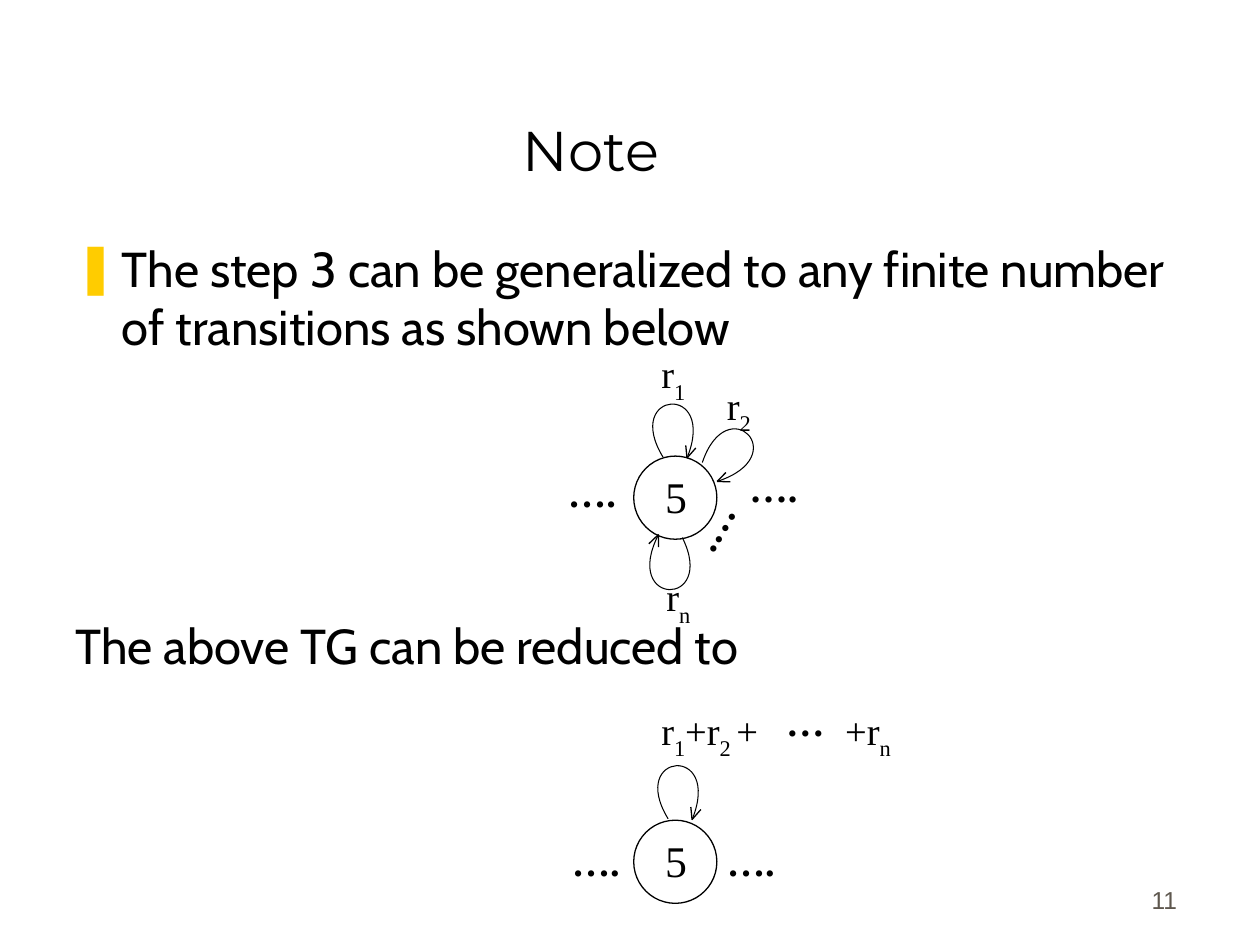
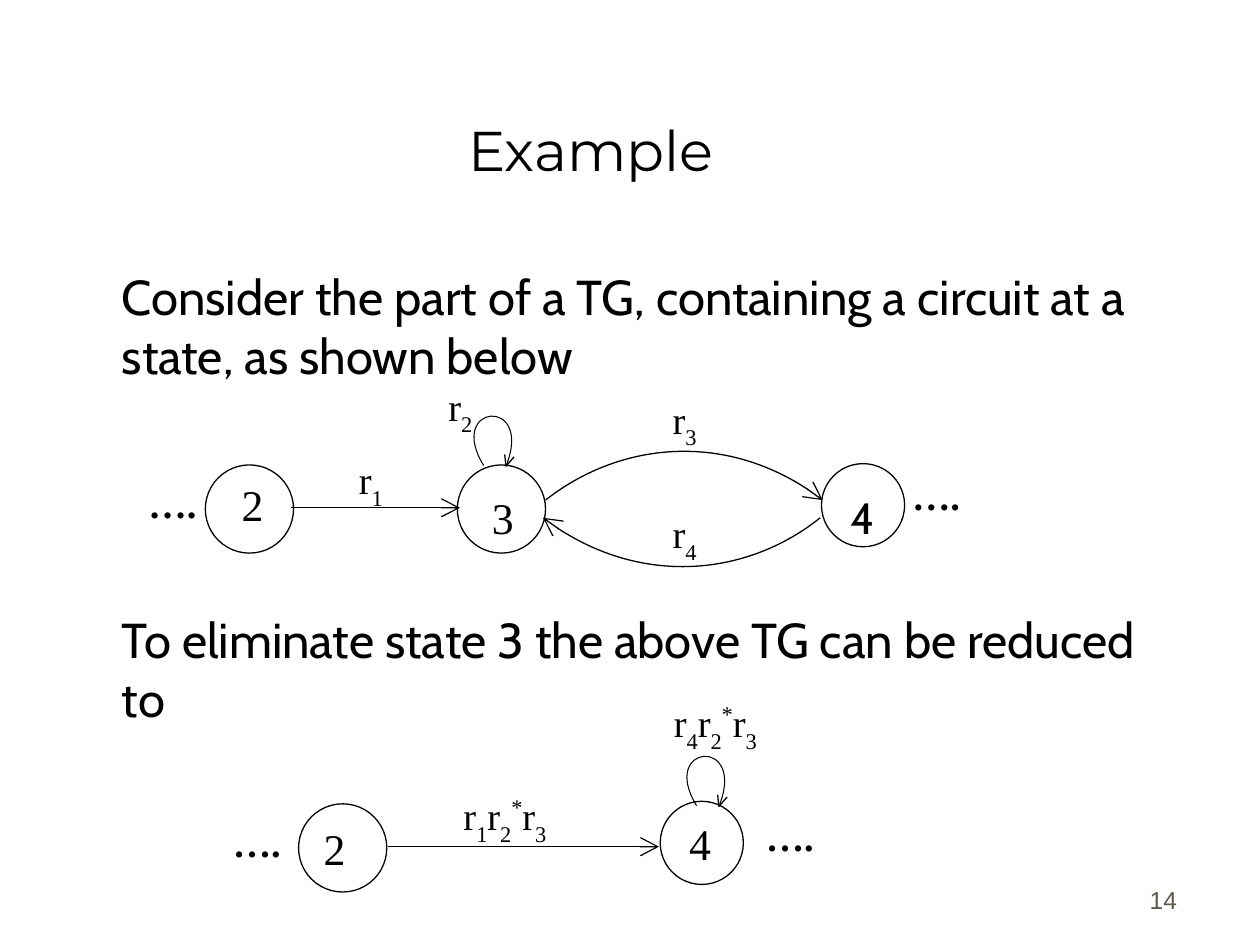
import dataclasses
import math

import lxml.etree
import pptx
import pptx.dml.color
import pptx.enum.shapes
import pptx.enum.text
import pptx.oxml.ns
import pptx.util

Inches = pptx.util.Inches
Pt = pptx.util.Pt
ALIGN = pptx.enum.text.PP_ALIGN
ANCHOR = pptx.enum.text.MSO_ANCHOR


@dataclasses.dataclass(frozen=True)
class Theme:
    """Colours, fonts and type sizes of the deck."""
    ink: str = "000000"
    paper: str = "FFFFFF"
    mark: str = "FFCC00"
    grey: str = "5E574E"
    head: str = "Montserrat"
    body: str = "Cabin"
    math: str = "Times New Roman"
    foot: str = "Arial"
    title: int = 32
    prose: int = 28
    state: int = 25
    label: int = 22
    page: int = 14
    line: float = 0.75
    thin: float = 0.6


THEME = Theme()
LOOP = ((0.37, 0.63), (0, 0.13), (0.75, 0), (0.56, 0.62))
WINGS = ((0.07, -0.08), (-0.01, -0.1))
SHIFT = {"_": "-30000", "^": "40000"}
HANG = 0.37


def color(code):
    """Turn a hex code into a colour."""
    return pptx.dml.color.RGBColor.from_string(code)


def child(node, tag, **attrs):
    """Append a drawing element with attributes."""
    return lxml.etree.SubElement(node, pptx.oxml.ns.qn(tag), **attrs)


def split(words):
    """Yield pieces with their baseline; _ lowers and ^ raises one letter."""
    piece, mark = "", None
    for char in words:
        if mark:
            yield char, SHIFT[mark]
            mark = None
        elif char in SHIFT:
            if piece:
                yield piece, None
            piece, mark = "", char
        else:
            piece += char
    if piece:
        yield piece, None


def write(frame, *lines, font=THEME.math, size=THEME.label, ink=THEME.ink,
          bold=False, align=ALIGN.LEFT, anchor=ANCHOR.TOP):
    """Fill a text frame with formatted paragraphs."""
    frame.word_wrap = True
    frame.auto_size = pptx.enum.text.MSO_AUTO_SIZE.NONE
    frame.vertical_anchor = anchor
    for count, words in enumerate(lines):
        para = frame.add_paragraph() if count else frame.paragraphs[0]
        para.alignment = align
        for piece, base in split(words):
            run = para.add_run()
            run.text = piece
            run.font.name = font
            run.font.size = Pt(size)
            run.font.bold = bold
            run.font.color.rgb = color(ink)
            if base:
                run._r.get_or_add_rPr().set("baseline", base)
    return frame.paragraphs


def text(slide, *lines, at, turn=0, **fmt):
    """Add a text box and return its paragraphs."""
    box = slide.shapes.add_textbox(*map(Inches, at))
    box.rotation = turn
    return write(box.text_frame, *lines, **fmt)


def prose(slide, *lines, at, gap, first):
    """Add body text with a gap and a first-line indent per paragraph."""
    paras = text(slide, *lines, at=at, font=THEME.body, size=THEME.prose)
    for para in paras:
        props = para._p.get_or_add_pPr()
        props.set("marL", str(Inches(HANG)))
        props.set("indent", str(Inches(first)))
    paras[1].space_before = Pt(gap)
    return paras


def bullet(para):
    """Give a paragraph the bar bullet."""
    props = para._p.get_or_add_pPr()
    child(child(props, "a:buClr"), "a:srgbClr", val=THEME.mark)
    child(props, "a:buFont", typeface=THEME.foot)
    child(props, "a:buChar", char="❚")


def stop(para, place):
    """Set a left tab stop."""
    tabs = child(para._p.get_or_add_pPr(), "a:tabLst")
    child(tabs, "a:tab", pos=str(Inches(place)), algn="l")


def dots(slide, x, y, words="….", turn=0):
    """Add bold dots for the parts left out."""
    text(slide, words, at=(x, y, 0.76, 0.42), turn=turn, bold=True)


def stroke(shape, width=THEME.line, tip=False):
    """Set the line of a shape, with an arrowhead if asked."""
    shape.line.color.rgb = color(THEME.ink)
    shape.line.width = Pt(width)
    if tip:
        child(shape.line._get_or_add_ln(), "a:tailEnd",
              type="arrow", w="lg", len="lg")


def state(slide, name, x, y, size, at, **fmt):
    """Draw a state circle with its name."""
    oval = slide.shapes.add_shape(
        pptx.enum.shapes.MSO_SHAPE.OVAL, *map(Inches, (x, y, size, size)))
    oval.shadow.inherit = False
    oval.fill.solid()
    oval.fill.fore_color.rgb = color(THEME.paper)
    stroke(oval)
    text(slide, name, at=at, size=THEME.state, **fmt)


def trace(slide, points, **look):
    """Draw an open outline through points."""
    first, *rest = [(Inches(x), Inches(y)) for x, y in points]
    pen = slide.shapes.build_freeform(*first)
    pen.add_line_segments(rest, close=False)
    shape = pen.convert_to_shape()
    shape.shadow.inherit = False
    shape.fill.background()
    stroke(shape, **look)
    return shape


def curve(slide, points, **look):
    """Draw a cubic curve from its four control points."""
    shape = trace(slide, points, **look)
    steps = list(shape._element.iter(pptx.oxml.ns.qn("a:lnTo")))
    cubic = child(steps[0].getparent(), "a:cubicBezTo")
    for step in steps:
        cubic.append(step[0])
        step.getparent().remove(step)
    return shape


def spin(x, y, turn):
    """Turn a vector by degrees."""
    angle = math.radians(turn)
    cos, sin = math.cos(angle), math.sin(angle)
    return x * cos - y * sin, x * sin + y * cos


def loop(slide, x, y, turn=5, scale=1.0):
    """Draw a self-loop with an open head in a turned box."""
    points = [(x + a * scale, y + b * scale) for a, b in LOOP]
    curve(slide, points, width=THEME.thin).rotation = turn
    mid = x + 0.375 * scale, y + 0.315 * scale
    dx, dy = spin(points[-1][0] - mid[0], points[-1][1] - mid[1], turn)
    tip = mid[0] + dx, mid[1] + dy
    for wing in WINGS:
        dx, dy = spin(*wing, turn - 5)
        trace(slide, [tip, (tip[0] + dx * scale, tip[1] + dy * scale)])


def arrow(slide, x, y, end):
    """Draw a level arrow."""
    line = slide.shapes.add_connector(
        pptx.enum.shapes.MSO_CONNECTOR.STRAIGHT,
        *map(Inches, (x, y, end, y)))
    stroke(line, tip=True)
    child(line._element.spPr, "a:effectLst")


def start(deck, title, page):
    """Add a slide with its title and page number."""
    slide = deck.slides.add_slide(deck.slide_layouts[5])
    head = slide.shapes.title
    head.left, head.top, head.width, head.height = map(
        Inches, (0.44, 0.25, 8.5, 1.25))
    write(head.text_frame, title, font=THEME.head, size=THEME.title,
          align=ALIGN.CENTER, anchor=ANCHOR.BOTTOM)
    text(slide, page, at=(7.36, 6.81, 2.08, 0.5), font=THEME.foot,
         size=THEME.page, ink=THEME.grey, align=ALIGN.RIGHT,
         anchor=ANCHOR.BOTTOM)
    return slide


def note(deck):
    """Build the slide on merging many loops."""
    slide = start(deck, "Note", "11")
    paras = prose(slide, "The step 3 can be generalized to any finite number "
                  "of transitions as shown below",
                  "The above TG can be reduced to",
                  at=(0.5, 1.84, 8.94, 5.33), gap=148.5, first=-HANG)
    bullet(paras[0])
    for y in (3.62, 6.51):
        state(slide, "5", 5.03, y, 0.66, (5.18, y + 0.06, 1.02, 0.42))
    for x, y, turn in ((4.92, 3, 5), (5.46, 3.18, 55),
                       (4.98, 4.26, 190), (4.96, 5.87, 5)):
        loop(slide, x, y, turn)
    for words, x, y in (("r_1", 5.15, 2.73), ("r_2", 5.67, 2.98),
                        ("r_n", 5.19, 4.5)):
        text(slide, words, at=(x, y, 0.91, 0.42))
    total = text(slide, "r_1+r_2_ +\t+r_n", at=(5.15, 5.56, 2.68, 0.5))
    stop(total[0], 1.46)
    for x, y in ((4.41, 3.67), (5.85, 3.63), (4.44, 6.6), (5.67, 6.6)):
        dots(slide, x, y)
    dots(slide, 5.42, 4.16, turn=120)
    dots(slide, 6.14, 5.49, "…")


def example(deck):
    """Build the slide on removing a state from a circuit."""
    slide = start(deck, "Example", "14")
    prose(slide, "Consider the part of a TG, containing a circuit at a "
          "state, as shown below",
          "To eliminate state 3 the above TG can be reduced to",
          at=(0.5, 2.07, 8.94, 4.56), gap=128.3, first=0)
    low = {"align": ALIGN.CENTER, "anchor": ANCHOR.BOTTOM}
    state(slide, "2", 1.63, 3.69, 0.7, (1.82, 3.74, 0.41, 0.4))
    state(slide, "3", 3.63, 3.69, 0.7, (3.5, 3.68, 0.98, 0.68), **low)
    state(slide, "4", 6.52, 3.68, 0.66, (6.39, 3.66, 0.92, 0.7),
          font=THEME.body, **low)
    state(slide, "2", 2.37, 6.38, 0.7, (2.47, 6.47, 1.02, 0.42))
    state(slide, "4", 5.24, 6.36, 0.66, (5.37, 6.43, 1.02, 0.42))
    arrow(slide, 2.31, 4.03, 3.65)
    arrow(slide, 3.08, 6.72, 5.23)
    for ends in (((4.33, 3.97), (4.9, 3.52), (5.81, 3.41), (6.53, 3.97)),
                 ((6.51, 4.11), (5.95, 4.56), (5.04, 4.67), (4.31, 4.11))):
        curve(slide, ends, tip=True)
    for x, y in ((3.52, 3.11), (5.21, 5.81)):
        loop(slide, x, y, scale=0.93)
    for words, x, y, wide, high in (
            ("r_1", 2.75, 3.57, 0.41, 0.4), ("r_2", 3.46, 2.99, 0.98, 0.67),
            ("r_3", 5.24, 3.09, 0.41, 0.4), ("r_4", 5.24, 4, 0.49, 0.5),
            ("r_1r_2^*r_3", 3.58, 6.24, 1.58, 0.43),
            ("r_4r_2^*r_3", 5.25, 5.5, 1.58, 0.43)):
        text(slide, words, at=(x, y, wide, high))
    for x, y in ((1.08, 3.76), (7.14, 3.7), (1.75, 6.45), (5.98, 6.4)):
        dots(slide, x, y)


def main():
    """Build and save the deck."""
    deck = pptx.Presentation()
    deck.slide_width, deck.slide_height = Inches(10), Inches(7.5)
    note(deck)
    example(deck)
    deck.save("out.pptx")


if __name__ == "__main__":
    main()
